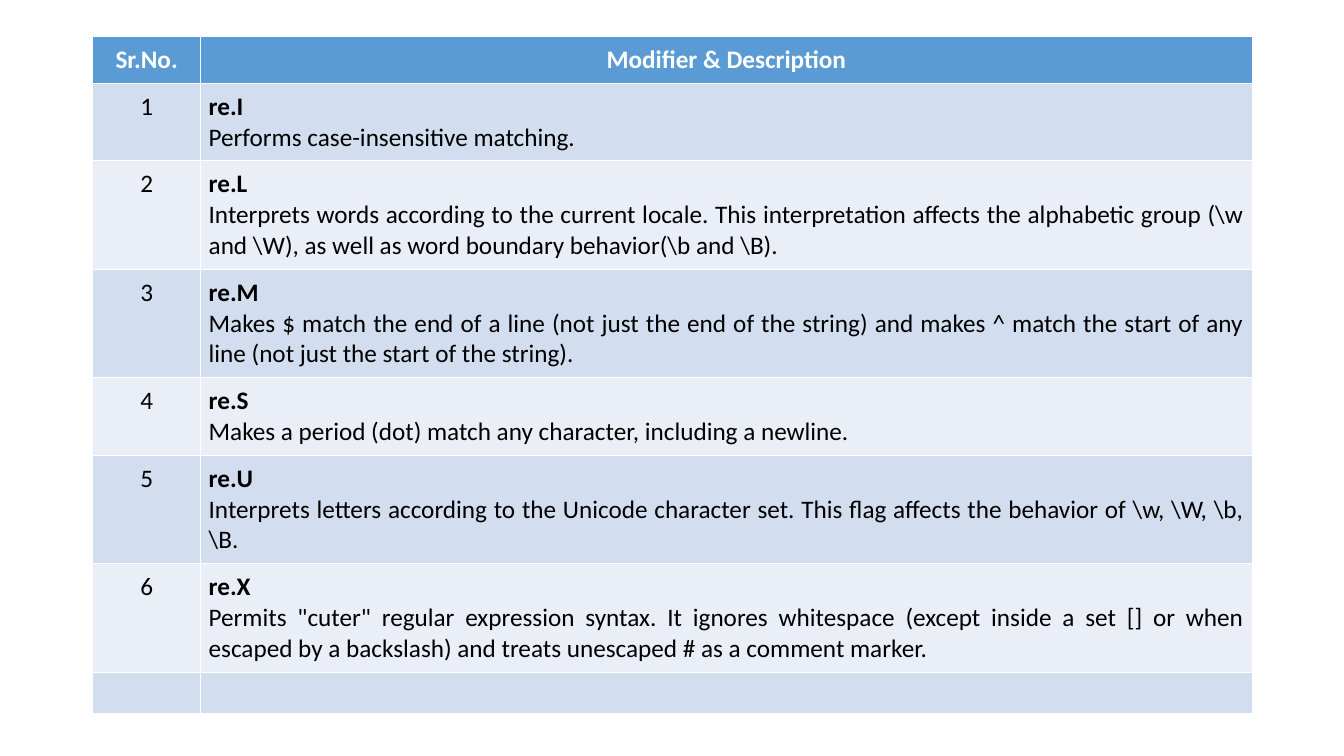
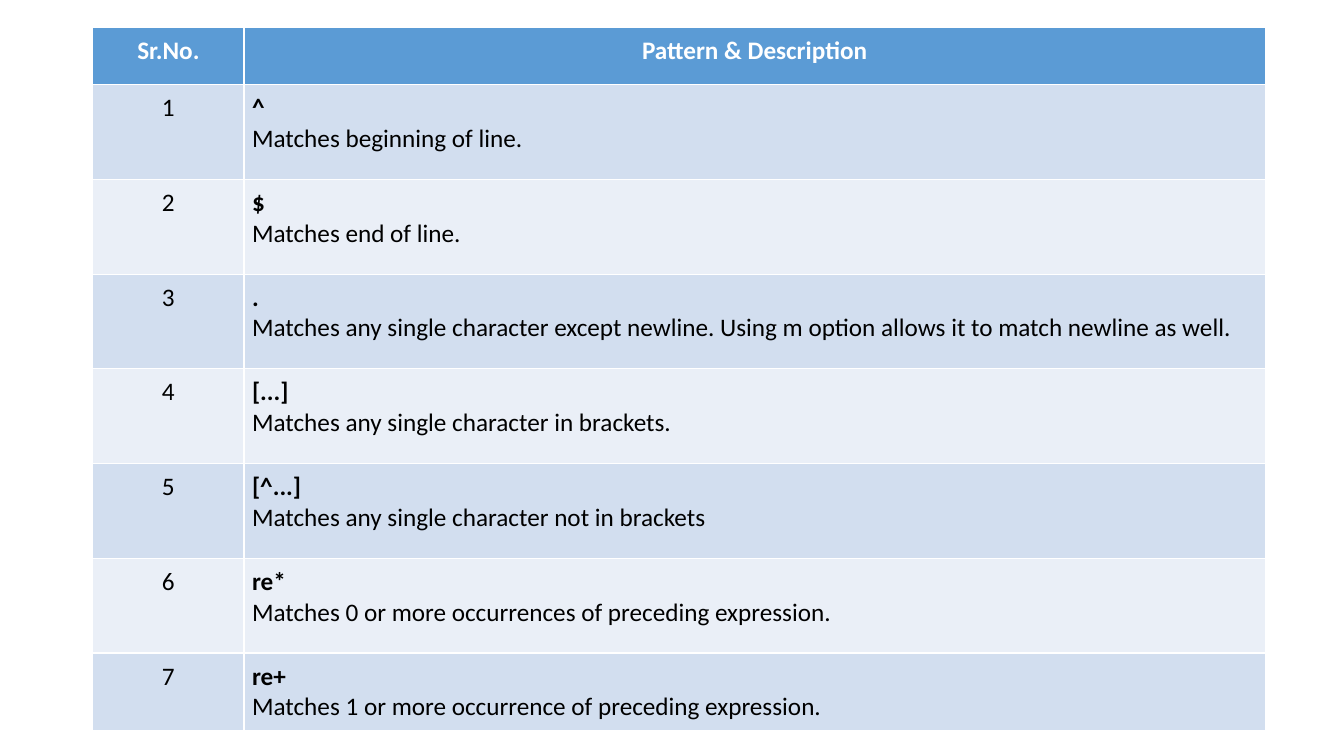
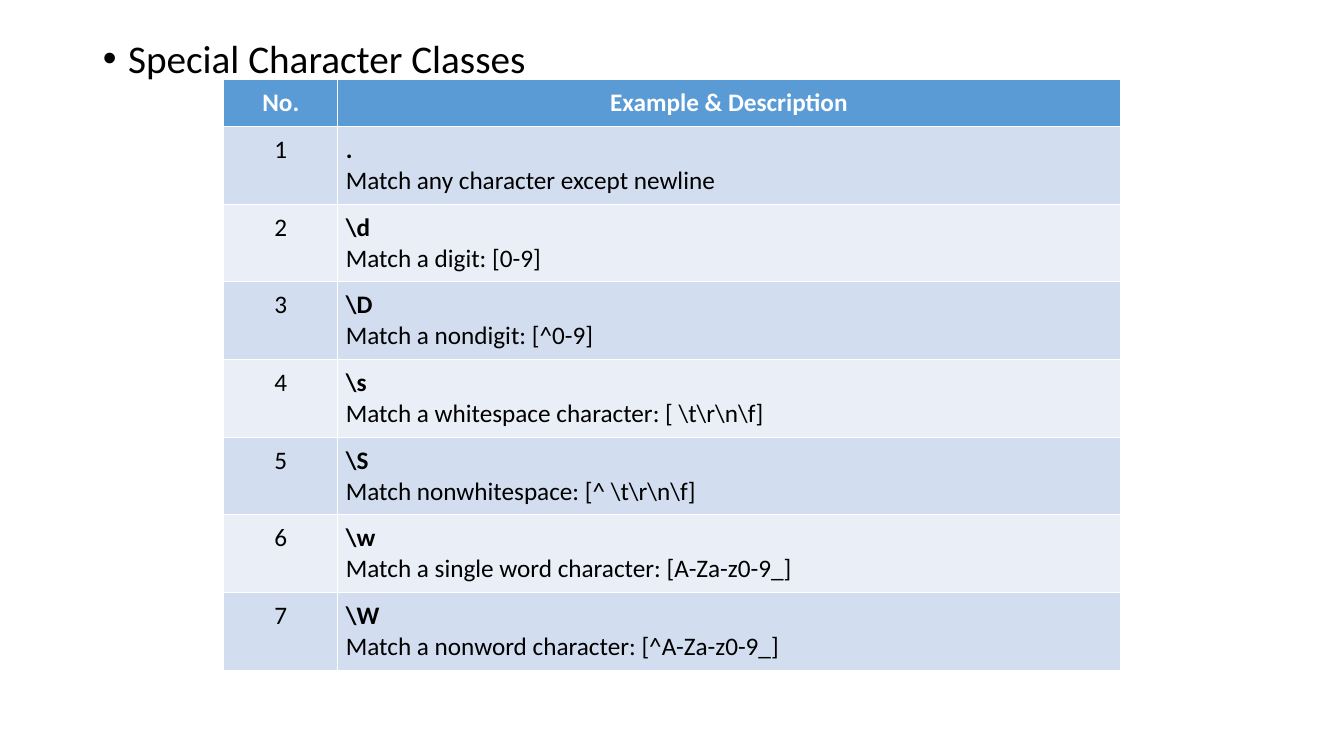
from dataclasses import dataclass

from lxml import etree
from pptx import Presentation
from pptx.dml.color import RGBColor
from pptx.enum.text import MSO_AUTO_SIZE, PP_ALIGN
from pptx.oxml.ns import qn
from pptx.util import Inches, Pt

CENTER, JUSTIFY = PP_ALIGN.CENTER, PP_ALIGN.JUSTIFY
NO_FIT = MSO_AUTO_SIZE.NONE
BLANK, CONTENT = 6, 1


@dataclass(frozen=True)
class Theme:
    font: str = "Calibri"
    header: RGBColor = RGBColor(0x5B, 0x9B, 0xD5)
    bands: tuple = (RGBColor(0xD2, 0xDE, 0xEF), RGBColor(0xEA, 0xEF, 0xF7))
    light: RGBColor = RGBColor(0xFF, 0xFF, 0xFF)
    dark: RGBColor = RGBColor(0, 0, 0)
    table_size: Pt = Pt(18)
    bullet_size: Pt = Pt(28)
    margin: Inches = Inches(0.08)


T = Theme()


def write_cell(cell, fill, lines, align, color):
    cell.fill.solid()
    cell.fill.fore_color.rgb = fill
    if not lines:
        return
    cell.margin_left = cell.margin_right = T.margin
    cell.margin_top = cell.margin_bottom = T.margin
    tf = cell.text_frame
    for i, (text, bold) in enumerate(lines):
        p = tf.add_paragraph() if i else tf.paragraphs[0]
        p.text = text
        p.alignment = align
        p.font.name = T.font
        p.font.size = T.table_size
        p.font.bold = bold
        p.font.color.rgb = color


def add_reference_table(s, box, col_widths, row_heights, headers, entries):
    frame = s.shapes.add_table(len(row_heights), 2, *map(Inches, box))
    table = frame.table
    for column, width in zip(table.columns, col_widths):
        column.width = Inches(width)
    for row, height in zip(table.rows, row_heights):
        row.height = Inches(height)
    frame.height = Inches(box[3])
    for c, header in enumerate(headers):
        write_cell(table.cell(0, c), T.header, [(header, True)], CENTER, T.light)
    for n in range(1, len(row_heights)):
        fill = T.bands[(n - 1) % 2]
        number, description = [], []
        if n <= len(entries):
            term, meaning = entries[n - 1]
            number = [(str(n), False)]
            description = [(term, True), (meaning, False)]
        write_cell(table.cell(n, 0), fill, number, CENTER, T.dark)
        write_cell(table.cell(n, 1), fill, description, JUSTIFY, T.dark)


prs = Presentation()
prs.slide_width, prs.slide_height = Inches(13.33), Inches(7.5)

modifiers = [
    ("re.I", "Performs case-insensitive matching."),
    ("re.L", "Interprets words according to the current locale. This interpretation affects "
     "the alphabetic group (\\w and \\W), as well as word boundary behavior(\\b and \\B)."),
    ("re.M", "Makes $ match the end of a line (not just the end of the string) and makes ^ "
     "match the start of any line (not just the start of the string)."),
    ("re.S", "Makes a period (dot) match any character, including a newline."),
    ("re.U", "Interprets letters according to the Unicode character set. This flag affects "
     "the behavior of \\w, \\W, \\b, \\B."),
    ("re.X", "Permits \"cuter\" regular expression syntax. It ignores whitespace (except "
     "inside a set [] or when escaped by a backslash) and treats unescaped # as a "
     "comment marker."),
]
s = prs.slides.add_slide(prs.slide_layouts[BLANK])
add_reference_table(s, (0.92, 0.36, 11.5, 6.67), (1.07, 10.43), [0.41] * 8,
                    ("Sr.No.", "Modifier & Description"), modifiers)

patterns = [
    ("^", "Matches beginning of line."),
    ("$", "Matches end of line."),
    (".", "Matches any single character except newline. Using m option allows it to match "
     "newline as well."),
    ("[...]", "Matches any single character in brackets."),
    ("[^...]", "Matches any single character not in brackets"),
    ("re*", "Matches 0 or more occurrences of preceding expression."),
    ("re+", "Matches 1 or more occurrence of preceding expression."),
]
s = prs.slides.add_slide(prs.slide_layouts[BLANK])
add_reference_table(s, (0.92, 0.27, 11.64, 6.98), (1.5, 10.13), [0.57] + [0.94] * 6 + [0.5],
                    ("Sr.No.", "Pattern & Description"), patterns)

character_classes = [
    (".", "Match any character except newline"),
    ("\\d", "Match a digit: [0-9]"),
    ("\\D", "Match a nondigit: [^0-9]"),
    ("\\s", "Match a whitespace character: [ \\t\\r\\n\\f]"),
    ("\\S", "Match nonwhitespace: [^ \\t\\r\\n\\f]"),
    ("\\w", "Match a single word character: [A-Za-z0-9_]"),
    ("\\W", "Match a nonword character: [^A-Za-z0-9_]"),
]
s = prs.slides.add_slide(prs.slide_layouts[CONTENT])
title, body = s.placeholders
title.element.getparent().remove(title.element)
body.left, body.top = Inches(0.92), Inches(0.34)
body.width, body.height = Inches(11.5), Inches(6.42)
tf = body.text_frame
tf.auto_size = NO_FIT
p = tf.paragraphs[0]
p.text = "Special Character Classes"
p.line_spacing = 0.9
p.space_before = Pt(10)
p.font.name = T.font
p.font.size = T.bullet_size
p.font.color.rgb = T.dark
pPr = p._p.get_or_add_pPr()
pPr.set("marL", str(Inches(0.25)))
pPr.set("indent", str(-Inches(0.25)))
bullet = etree.Element(qn("a:buChar"), char="•")
pPr.find(qn("a:defRPr")).addprevious(bullet)
add_reference_table(s, (2.22, 0.79, 8.89, 5.83), (1.13, 7.76), [0.41] * 8,
                    ("No.", "Example & Description"), character_classes)

prs.save("out.pptx")
